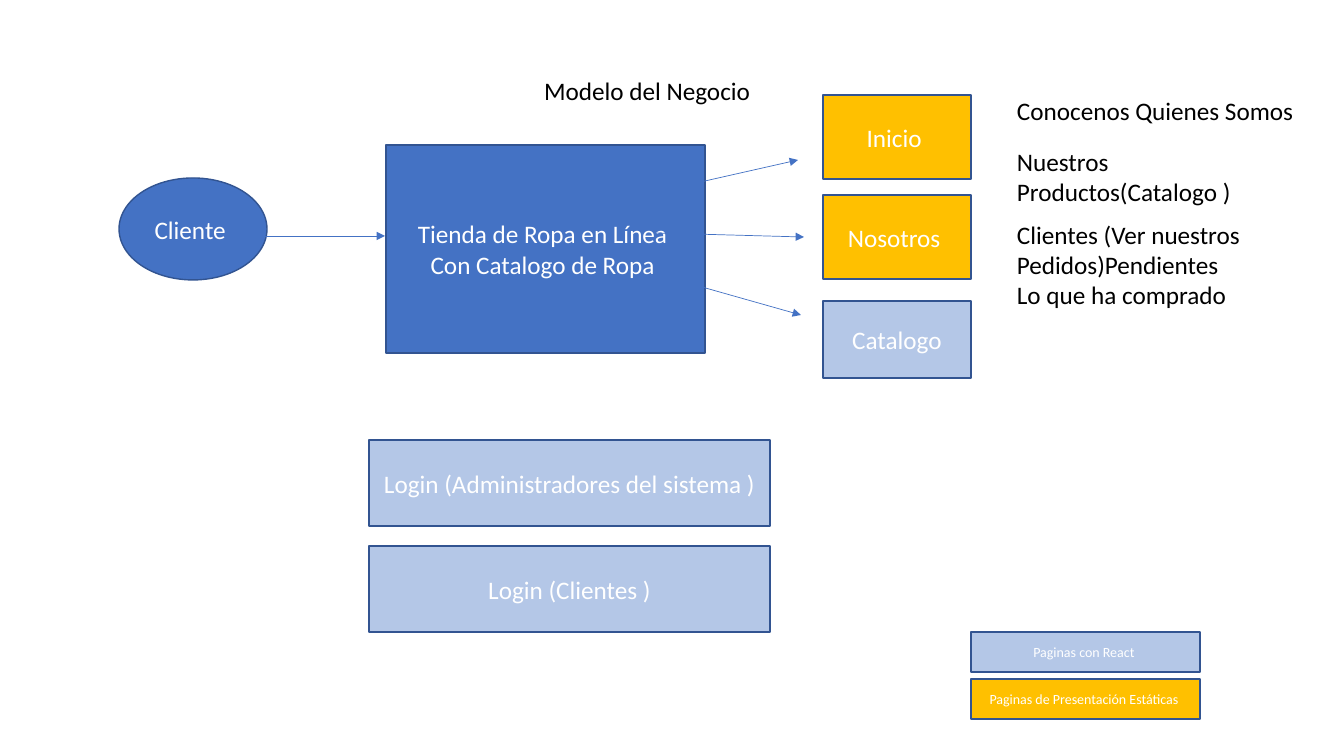
from pptx import Presentation
from pptx.dml.color import RGBColor
from pptx.enum.shapes import MSO_CONNECTOR as Conn, MSO_SHAPE as Kind
from pptx.enum.text import MSO_ANCHOR as Anchor, MSO_AUTO_SIZE as Auto, PP_ALIGN as Align
from pptx.oxml.ns import qn
from pptx.util import Pt
from lxml.etree import SubElement as Sub

BLUE, PALE, GOLD = "4472C4", "B4C7E7", "FFC000"
EDGE, WHITE, BLACK = "325491", "FFFFFF", "000000"


def px(num):
    return round(num * 914400 / 100.8)


def color(code):
    return RGBColor.from_string(code)


def write(frame, lines, size, ink, align):
    frame.text = "\n".join(lines)
    for para in frame.paragraphs:
        para.alignment = align
        para.font.name = "Calibri"
        para.font.size = Pt(size)
        para.font.color.rgb = color(ink)


def block(slide, box, lines, fill, size=18, kind=Kind.RECTANGLE):
    shape = slide.shapes.add_shape(kind, *map(px, box))
    shape.shadow.inherit = False
    shape.fill.solid()
    shape.fill.fore_color.rgb = color(fill)
    shape.line.color.rgb = color(EDGE)
    shape.line.width = Pt(1)
    frame = shape.text_frame
    frame.word_wrap = True
    frame.vertical_anchor = Anchor.MIDDLE
    write(frame, lines, size, WHITE, Align.CENTER)


def arrow(slide, start, end):
    line = slide.shapes.add_connector(Conn.STRAIGHT, *map(px, start + end))
    line.line.color.rgb = color(BLUE)
    line.line.width = Pt(0.5)
    props = line._element.spPr
    Sub(props.find(qn("a:ln")), qn("a:tailEnd"), type="triangle")
    Sub(props, qn("a:effectLst"))


def title(slide, box):
    head = slide.shapes.title
    head.left, head.top, head.width, head.height = map(px, box)
    frame = head.text_frame
    frame.word_wrap = False
    frame.auto_size = Auto.SHAPE_TO_FIT_TEXT
    frame.vertical_anchor = Anchor.TOP
    write(frame, ["Modelo del Negocio "], 18, BLACK, Align.LEFT)
    head.text_frame.paragraphs[0].line_spacing = 1.0


def flow(slide, box):
    left, top, wide, high = box
    block(slide, (left, top + 33, 148, 102), ["Cliente "], BLUE, kind=Kind.OVAL)
    block(slide, (left + wide - 319, top, 319, high),
          ["Tienda de Ropa en Línea ", "Con Catalogo de Ropa "], BLUE)
    links = [((121, 91), (266, 91)), ((524, 50), (679, 15)),
             ((538, 88), (685, 92)), ((537, 129), (682, 170))]
    for start, end in links:
        arrow(slide, *[(left + x, top + y) for x, y in (start, end)])


def pages(slide, box):
    left, top, wide, high = box
    for name, drop, tall, fill in [("Inicio ", 0, 84, GOLD),
                                   ("Nosotros ", 100, 84, GOLD),
                                   ("Catalogo", high - 77, 77, PALE)]:
        block(slide, (left, top + drop, wide, tall), [name], fill)


def notes(slide, box):
    left, top, wide, high = box
    texts = [(0, 40, ["Conocenos Quienes Somos "]),
             (51, 72, ["Nuestros Productos(Catalogo )"]),
             (high - 102, 102, ["Clientes (Ver nuestros Pedidos)Pendientes ",
                                "Lo que ha comprado "])]
    for drop, tall, lines in texts:
        note = slide.shapes.add_textbox(*map(px, (left, top + drop, wide, tall)))
        note.text_frame.word_wrap = True
        note.text_frame.auto_size = Auto.SHAPE_TO_FIT_TEXT
        write(note.text_frame, lines, 18, BLACK, Align.LEFT)


def stack(slide, box, items, gap, size):
    left, top, wide, high = box
    tall = (high - gap * (len(items) - 1)) / len(items)
    for row, (text, fill) in enumerate(items):
        spot = (left, top + row * (tall + gap), wide, tall)
        block(slide, spot, [text], fill, size)


def model(deck):
    slide = deck.slides.add_slide(deck.slide_layouts[5])
    title(slide, (534, 70, 235, 40))
    flow(slide, (119, 145, 586, 208))
    pages(slide, (823, 95, 148, 283))
    notes(slide, (1007, 90, 301, 226))
    stack(slide, (369, 440, 401, 192),
          [("Login (Administradores del sistema )", PALE),
           ("Login (Clientes )", PALE)], 20, 18)
    stack(slide, (971, 632, 229, 87),
          [("Paginas con React ", PALE),
           ("Paginas de Presentación Estáticas ", GOLD)], 7, 10)


deck = Presentation()
deck.slide_width, deck.slide_height = px(1344), px(756)
model(deck)
deck.save("out.pptx")
